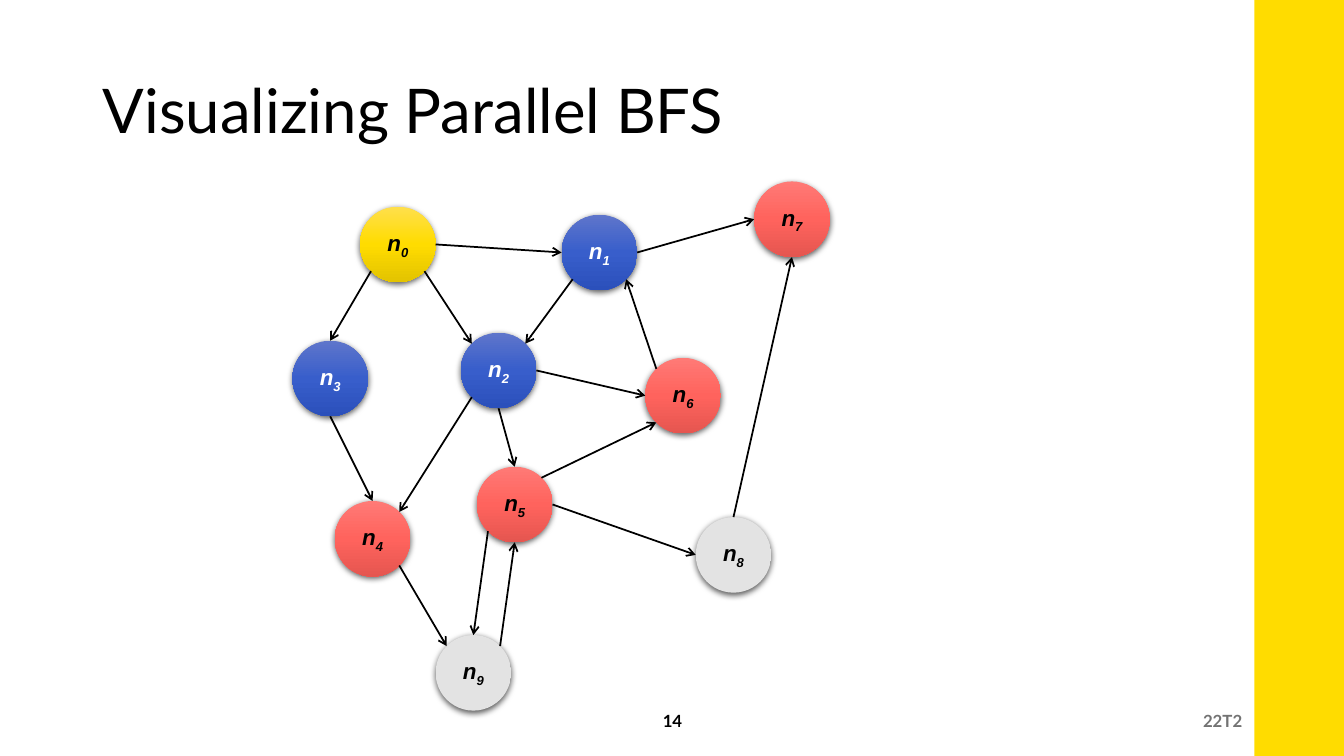
from dataclasses import dataclass
from math import cos, sin, radians

from lxml.etree import SubElement as Sub
from pptx import Presentation
from pptx.dml.color import RGBColor as Rgb
from pptx.enum.shapes import MSO_CONNECTOR as Link, MSO_SHAPE as Kind
from pptx.enum.text import MSO_ANCHOR as Anchor, PP_ALIGN as Align
from pptx.oxml.ns import qn
from pptx.util import Inches, Pt


@dataclass(frozen=True)
class Theme:
    black: str = "000000"
    white: str = "FFFFFF"
    muted: str = "737373"
    bar: str = "FFDC00"
    gold: tuple = ("FFDF4B", "FFDC00", "E3C300")
    blue: tuple = ("5E75CB", "385ECB", "2B50BB")
    red: tuple = ("FF7A76", "FF635D", "E55650")
    gray: tuple = ("E3E3E3", "E3E3E3", "E3E3E3")
    head: str = "Lato"
    body: str = "Arial"
    title: int = 44
    label: int = 16
    foot: int = 12


theme = Theme()
deck = Presentation()
deck.slide_width, deck.slide_height = Inches(13.33), Inches(7.5)
slide = deck.slides.add_slide(deck.slide_layouts[6])
shapes = slide.shapes


def style(para, face, size, color, bold=False, italic=False):
    font = para.font
    font.name, font.size = face, Pt(size)
    font.bold, font.italic = bold, italic
    font.color.rgb = Rgb.from_string(color)


# Side bar
bar = shapes.add_shape(Kind.RECTANGLE, Inches(12.44), 0, Inches(0.89), Inches(7.5))
bar.shadow.inherit = False
bar.fill.solid()
bar.fill.fore_color.rgb = Rgb.from_string(theme.bar)
bar.line.fill.background()

# Title and footer
texts = [
    ("Visualizing Parallel BFS", 0.92, 0.4, 11.5, 1.45, Align.LEFT, theme.title, theme.black, False),
    ("22T2", 7.92, 6.95, 4.5, 0.4, Align.RIGHT, theme.foot, theme.muted, True),
    ("14", 5.17, 6.95, 3, 0.4, Align.CENTER, theme.foot, theme.black, True),
]
for text, left, top, width, height, align, size, color, bold in texts:
    box = shapes.add_textbox(Inches(left), Inches(top), Inches(width), Inches(height))
    frame = box.text_frame
    frame.word_wrap = True
    frame.vertical_anchor = Anchor.MIDDLE
    para = frame.paragraphs[0]
    para.text = text
    para.alignment = align
    para.line_spacing = 0.9 if size == theme.title else 1.0
    style(para, theme.head, size, color, bold)

# Graph nodes: number -> left, top, colours
side = 0.75
nodes = {
    0: (3.57, 2.05, theme.gold),
    3: (2.9, 3.38, theme.blue),
    2: (4.57, 3.3, theme.blue),
    1: (5.57, 2.13, theme.blue),
    7: (7.48, 1.8, theme.red),
    6: (6.4, 3.55, theme.red),
    5: (4.73, 4.63, theme.red),
    4: (3.32, 4.97, theme.red),
    9: (4.32, 6.3, theme.gray),
    8: (6.9, 5.13, theme.gray),
}
for num, (left, top, shades) in nodes.items():
    node = shapes.add_shape(Kind.OVAL, Inches(left), Inches(top), Inches(side), Inches(side))
    node.line.fill.background()

    # Three-stop fill, light at the top
    node.fill.gradient()
    node.fill.gradient_angle = 270
    props = node._element.spPr
    stops = props.find(qn("a:gradFill")).find(qn("a:gsLst"))
    for stop in list(stops):
        stops.remove(stop)
    for place, shade in zip((0, 50000, 100000), shades):
        stop = Sub(stops, qn("a:gs"), pos=str(place))
        Sub(stop, qn("a:srgbClr"), val=shade)

    # Soft shadow below
    node.shadow.inherit = False
    cast = Sub(props.find(qn("a:effectLst")), qn("a:outerShdw"), blurRad=str(Pt(4.5)),
               dist=str(Pt(1.5)), dir="5400000", algn="ctr", rotWithShape="0")
    tint = Sub(cast, qn("a:srgbClr"), val=theme.black)
    Sub(tint, qn("a:alpha"), val="63000")

    # Label with subscript
    frame = node.text_frame
    frame.margin_left = frame.margin_right = frame.margin_top = frame.margin_bottom = 0
    frame.word_wrap = False
    frame.vertical_anchor = Anchor.MIDDLE
    para = frame.paragraphs[0]
    para.alignment = Align.CENTER
    para.add_run().text = "n"
    index = para.add_run()
    index.text = str(num)
    index.font._element.set("baseline", "-25000")
    ink = theme.white if shades == theme.blue else theme.black
    style(para, theme.body, theme.label, ink, True, True)

# Graph edges: node and compass side at each end
turns = {"E": 0, "SE": 45, "S": 90, "SW": 135, "W": 180, "NW": 225, "N": 270, "NE": 315}


def rim(num, way):
    left, top, _ = nodes[num]
    turn = radians(turns[way])
    return (Inches(left + side / 2 * (1 + cos(turn))),
            Inches(top + side / 2 * (1 + sin(turn))))


edges = [
    (0, "SW", 3, "N"), (0, "SE", 2, "NW"), (0, "E", 1, "W"), (1, "E", 7, "W"),
    (8, "N", 7, "S"), (6, "NW", 1, "SE"), (1, "SW", 2, "NE"), (2, "E", 6, "W"),
    (3, "S", 4, "N"), (2, "SW", 4, "NE"), (2, "S", 5, "N"), (5, "NE", 6, "SW"),
    (4, "SE", 9, "NW"), (5, "SW", 9, "N"), (9, "NE", 5, "S"), (5, "E", 8, "W"),
]
for start, leave, end, enter in edges:
    edge = shapes.add_connector(Link.STRAIGHT, *rim(start, leave), *rim(end, enter))
    edge.line.width = Pt(1.25)
    edge.line.color.rgb = Rgb.from_string(theme.black)
    Sub(edge.line._get_or_add_ln(), qn("a:tailEnd"), type="arrow")
    Sub(edge._element.spPr, qn("a:effectLst"))

deck.save("out.pptx")
